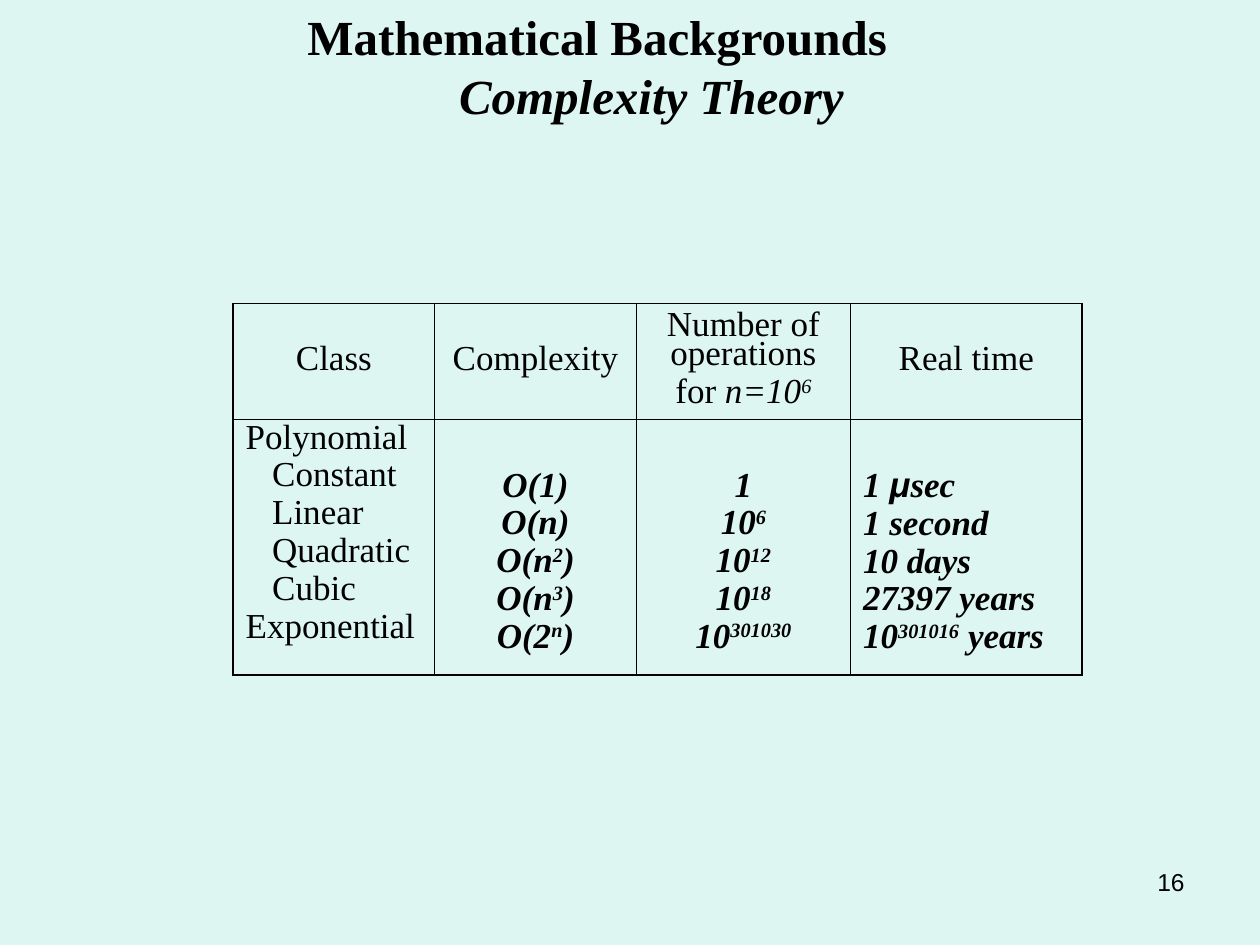
from dataclasses import dataclass

from lxml.etree import SubElement
from pptx import Presentation
from pptx.dml.color import RGBColor
from pptx.enum.text import MSO_ANCHOR as Anchor, PP_ALIGN as Align
from pptx.oxml import parse_xml
from pptx.oxml.ns import nsdecls, qn
from pptx.util import Inches, Pt


@dataclass(frozen=True)
class Theme:
    background: RGBColor = RGBColor(0xDE, 0xF6, 0xF1)
    ink: RGBColor = RGBColor(0, 0, 0)
    serif: str = "Times New Roman"
    sans: str = "Arial"
    title_size: float = 28
    table_size: float = 20
    number_size: float = 14
    outer_line: float = 1.08
    inner_line: float = 0.45


THEME = Theme()

HEADERS = [
    ["Class"],
    ["Complexity"],
    ["Number of operations", [("for ", ""), ("n=10", "italic"), ("6", "italic super")]],
    ["Real time"],
]
CLASSES = ["Polynomial", "Constant", "Linear", "Quadratic", "Cubic", "Exponential"]
SUBCLASSES = CLASSES[1:-1]


def power(base, exponent, tail=""):
    return [(base, ""), (exponent, "super"), (tail, "")]


COMPLEXITIES = ["O(1)", "O(n)"] + [
    power("O(" + base, exponent, ")") for base, exponent in ("n2", "n3", "2n")
]
OPERATIONS = ["1"] + [power("10", exponent) for exponent in ("6", "12", "18", "301030")]
TIMES = [
    [("1 ", ""), ("μ", "sans"), ("sec", "")],
    "1 second",
    "10 days",
    "27397 years",
    power("10", "301016", " years"),
]


def set_font(para, size, name=THEME.serif, bold=False, italic=None):
    font = para.font
    font.size, font.name, font.bold, font.italic = Pt(size), name, bold, italic
    font.color.rgb = THEME.ink


def add_spans(para, content):
    """Add a plain string, or (text, style words) pairs."""
    pairs = [(content, "")] if isinstance(content, str) else content
    for text, style in pairs:
        if not text:
            continue
        span = para.add_run()
        span.text = text
        if "italic" in style:
            span.font.italic = True
        if "sans" in style:
            span.font.name = THEME.sans
        if "super" in style:
            span._r.get_or_add_rPr().set("baseline", "30000")


def indent(para, inches):
    para._p.get_or_add_pPr().set("marL", str(Inches(inches)))


def paragraphs(frame, contents):
    """Yield one filled paragraph for each item."""
    for index, content in enumerate(contents):
        para = frame.add_paragraph() if index else frame.paragraphs[0]
        add_spans(para, content)
        yield para


def set_borders(cell, row, column, last_row, last_column):
    edges = {
        "lnL": column == 0,
        "lnR": column == last_column,
        "lnT": row == 0,
        "lnB": row == last_row,
    }
    properties = cell._tc.get_or_add_tcPr()
    for place, (tag, outer) in enumerate(edges.items()):
        width = Pt(THEME.outer_line if outer else THEME.inner_line)
        line = parse_xml(f'<a:{tag} {nsdecls("a")} w="{width}"/>')
        fill = SubElement(line, qn("a:solidFill"))
        SubElement(fill, qn("a:srgbClr")).set("val", str(THEME.ink))
        properties.insert(place, line)


def fill_cell(cell, contents, align, bold_italic=False):
    cell.fill.background()
    for index, para in enumerate(paragraphs(cell.text_frame, contents)):
        para.alignment, para.line_spacing = align, 0.75
        if index:
            para.space_before = Pt(5)
        if contents[index] in SUBCLASSES:
            indent(para, 0.21)
        set_font(para, THEME.table_size, bold=bold_italic, italic=bold_italic)


def add_title(page, left, top, width, height):
    title = page.shapes.title
    title.left, title.top = Inches(left), Inches(top)
    title.width, title.height = Inches(width), Inches(height)
    frame = title.text_frame
    frame.word_wrap, frame.vertical_anchor = True, Anchor.TOP
    first, second = paragraphs(frame, ["Mathematical Backgrounds", "Complexity Theory"])
    first.alignment, second.alignment = Align.LEFT, Align.CENTER
    indent(first, 0.09)
    set_font(first, THEME.title_size, bold=True)
    set_font(second, THEME.title_size, bold=True, italic=True)


def add_complexity_table(page, left, top, widths, heights):
    frame = page.shapes.add_table(
        len(heights), len(widths), Inches(left), Inches(top),
        Inches(sum(widths)), Inches(sum(heights)),
    )
    table = frame.table
    table.first_row = table.horz_banding = False
    for column, width in zip(table.columns, widths):
        column.width = Inches(width)
    for row, height in zip(table.rows, heights):
        row.height = Inches(height)

    for column, contents in enumerate(HEADERS):
        cell = table.cell(0, column)
        cell.vertical_anchor = Anchor.MIDDLE
        fill_cell(cell, contents, Align.CENTER)

    fill_cell(table.cell(1, 0), CLASSES, Align.LEFT)
    values = [(COMPLEXITIES, Align.CENTER), (OPERATIONS, Align.CENTER), (TIMES, Align.LEFT)]
    for column, (contents, align) in enumerate(values, start=1):
        cell = table.cell(1, column)
        cell.margin_top = Inches(0.43)
        fill_cell(cell, contents, align, bold_italic=True)

    for row in range(len(heights)):
        for column in range(len(widths)):
            set_borders(table.cell(row, column), row, column, len(heights) - 1, len(widths) - 1)


def add_page_number(page, left, top, width, height):
    box = page.shapes.add_textbox(Inches(left), Inches(top), Inches(width), Inches(height))
    box.text_frame.word_wrap = True
    for para in paragraphs(box.text_frame, ["16"]):
        para.alignment = Align.RIGHT
        set_font(para, THEME.number_size, THEME.sans)


def main():
    deck = Presentation()
    deck.slide_width, deck.slide_height = Inches(10), Inches(7.5)
    page = deck.slides.add_slide(deck.slide_layouts.get_by_name("Title Only"))
    page.background.fill.solid()
    page.background.fill.fore_color.rgb = THEME.background
    add_page_number(page, 7.17, 6.83, 2.33, 0.52)
    add_title(page, 2.25, 0, 5.75, 1.04)
    add_complexity_table(page, 1.85, 2.41, [1.6, 1.6, 1.7, 1.84], [0.92, 2.03])
    deck.save("out.pptx")


if __name__ == "__main__":
    main()
